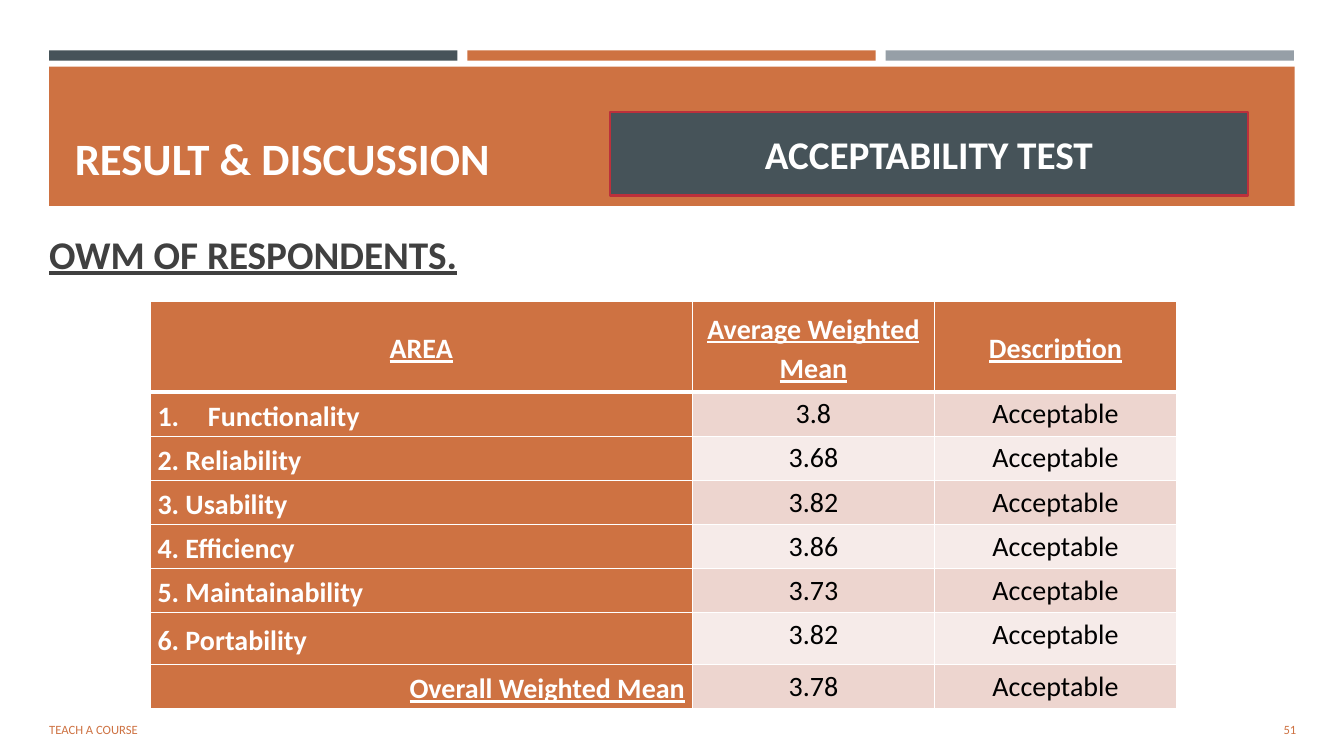
import pptx
import pptx.dml.color
import pptx.enum.shapes
import pptx.enum.text
import pptx.oxml
import pptx.oxml.ns
import pptx.util
from pptx.dml.color import RGBColor
from pptx.enum.text import MSO_ANCHOR, PP_ALIGN
from pptx.util import Cm, Pt

SLATE = RGBColor(0x46, 0x53, 0x59)
ORANGE = RGBColor(0xCE, 0x72, 0x42)
GRAY = RGBColor(0x96, 0x9F, 0xA7)
RED = RGBColor(0xBC, 0x30, 0x3B)
INK = RGBColor(0x40, 0x40, 0x40)
WHITE = RGBColor(0xFF, 0xFF, 0xFF)
BLACK = RGBColor(0, 0, 0)
ROW_TINTS = [RGBColor(0xED, 0xD5, 0xCF), RGBColor(0xF6, 0xEB, 0xE9)]

FONT = "Calibri"
MARGIN = 1.24
HEADER = ["AREA", "Average Weighted Mean", "Description"]
RATINGS = [
    ("Functionality", "3.8"),
    ("2. Reliability", "3.68"),
    ("3. Usability", "3.82"),
    ("4. Efficiency", "3.86"),
    ("5. Maintainability", "3.73"),
    ("6. Portability", "3.82"),
    ("Overall Weighted Mean", "3.78"),
]
DESCRIPTION = "Acceptable"
COLUMN_WIDTHS = [13.67, 6.1, 6.1]
ROW_HEIGHTS = [2.29, 1.11, 1.11, 1.11, 1.11, 1.11, 1.32, 1.11]


def write(frame, text, size, color, bold=False, underline=False,
          align=PP_ALIGN.LEFT):
    """Fill a text frame with one formatted paragraph and return it."""
    frame.text = text
    paragraph = frame.paragraphs[0]
    paragraph.alignment = align
    font = paragraph.runs[0].font
    font.name, font.size, font.color.rgb = FONT, Pt(size), color
    font.bold, font.underline = bold, underline
    return paragraph


def add_block(slide, left, top, width, height, fill):
    block = slide.shapes.add_shape(
        pptx.enum.shapes.MSO_SHAPE.RECTANGLE,
        Cm(left), Cm(top), Cm(width), Cm(height))
    block.shadow.inherit = False
    block.fill.solid()
    block.fill.fore_color.rgb = fill
    block.line.fill.background()
    return block


def add_label(slide, left, top, width, height, text, size, color, **style):
    label = slide.shapes.add_textbox(Cm(left), Cm(top), Cm(width), Cm(height))
    frame = label.text_frame
    frame.word_wrap = True
    frame.vertical_anchor = MSO_ANCHOR.MIDDLE
    paragraph = write(frame, text, size, color, **style)
    paragraph.space_after = Pt(6)
    return paragraph


def add_banner(slide):
    for column, color in enumerate([SLATE, ORANGE, GRAY]):
        add_block(slide, MARGIN + column * 10.54, 1.27, 10.29, 0.26, color)
    add_block(slide, MARGIN, 1.68, 31.39, 3.51, ORANGE)


def place_title(slide):
    title = slide.shapes.title
    title.left, title.top = Cm(1.63), Cm(2.03)
    title.width, title.height = Cm(30.63), Cm(2.74)
    frame = title.text_frame
    frame.auto_size = pptx.enum.text.MSO_AUTO_SIZE.NONE
    frame.vertical_anchor = MSO_ANCHOR.BOTTOM
    write(frame, "RESULT & DISCUSSION", 32, WHITE, bold=True)
    # The title must lie in front of the banner
    title.element.getparent().append(title.element)


def add_test_name(slide):
    test_name = add_block(slide, 15.37, 2.82, 16.08, 2.11, SLATE)
    test_name.line.color.rgb = RED
    test_name.line.width = Pt(1.75)
    frame = test_name.text_frame
    frame.margin_top = frame.margin_bottom = 0
    frame.vertical_anchor = MSO_ANCHOR.MIDDLE
    write(frame, "ACCEPTABILITY TEST", 28, WHITE, bold=True,
          align=PP_ALIGN.CENTER).space_after = Pt(6)


def set_borders(cell, top, bottom):
    """Draw white cell borders; top and bottom widths are in points."""
    properties = cell._tc.get_or_add_tcPr()
    for side, width in [("L", 1), ("R", 1), ("T", top), ("B", bottom)]:
        properties.append(pptx.oxml.parse_xml(
            f'<a:ln{side} {pptx.oxml.ns.nsdecls("a")} w="{Pt(width)}">'
            f'<a:solidFill><a:srgbClr val="{WHITE}"/></a:solidFill>'
            f'</a:ln{side}>'))


def number_paragraph(paragraph):
    properties = paragraph._p.get_or_add_pPr()
    properties.set("marL", str(Cm(1.27)))
    properties.set("indent", str(-Cm(1.27)))
    properties.append(pptx.oxml.parse_xml(
        f'<a:buAutoNum {pptx.oxml.ns.nsdecls("a")} type="arabicPeriod"/>'))


def fill_cell(cell, text, row, column):
    is_header, is_area = row == 0, column == 0
    is_total = row == len(RATINGS)
    is_strong = is_header or is_area
    set_borders(cell, top=3 if row == 1 else 1, bottom=3 if is_header else 1)
    cell.fill.solid()
    cell.fill.fore_color.rgb = ORANGE if is_strong else ROW_TINTS[(row - 1) % 2]
    cell.margin_left = cell.margin_right = Cm(0.19)
    cell.margin_top = cell.margin_bottom = 0
    cell.vertical_anchor = MSO_ANCHOR.MIDDLE if is_strong else MSO_ANCHOR.TOP

    if is_header or not is_area:
        align = PP_ALIGN.CENTER
    else:
        align = PP_ALIGN.RIGHT if is_total else PP_ALIGN.LEFT
    paragraph = write(cell.text_frame, text, 20, WHITE if is_strong else BLACK,
                      bold=is_strong, align=align,
                      underline=is_header or (is_area and is_total))
    paragraph.line_spacing = 1.15
    if align == PP_ALIGN.LEFT:
        paragraph.space_after = Pt(10)
        if row == 1:
            number_paragraph(paragraph)


def add_ratings_table(slide):
    rows = [HEADER] + [(area, mean, DESCRIPTION) for area, mean in RATINGS]
    table = slide.shapes.add_table(
        len(rows), len(HEADER), Cm(3.78), Cm(7.59),
        Cm(sum(COLUMN_WIDTHS)), Cm(sum(ROW_HEIGHTS))).table
    for column, width in zip(table.columns, COLUMN_WIDTHS):
        column.width = Cm(width)
    for table_row, height in zip(table.rows, ROW_HEIGHTS):
        table_row.height = Cm(height)
    for row, texts in enumerate(rows):
        for column, text in enumerate(texts):
            fill_cell(table.cell(row, column), text, row, column)


def main():
    presentation = pptx.Presentation()
    presentation.slide_width = Cm(33.87)
    presentation.slide_height = Cm(19.05)
    slide = presentation.slides.add_slide(presentation.slide_layouts[5])

    add_banner(slide)
    add_label(slide, 30, 17.86, 2.92, 1.02, "51", 9, ORANGE,
              align=PP_ALIGN.RIGHT)
    add_label(slide, 0.99, 17.86, 18.95, 1.02, "TEACH A COURSE", 9, ORANGE)
    place_title(slide)
    heading = add_label(slide, 0.99, 5.18, 18.62, 2.41, "OWM OF RESPONDENTS.",
                        28, INK, bold=True, underline=True)
    heading.space_before = Pt(5.6)
    add_test_name(slide)
    add_ratings_table(slide)
    presentation.save("out.pptx")


if __name__ == "__main__":
    main()
